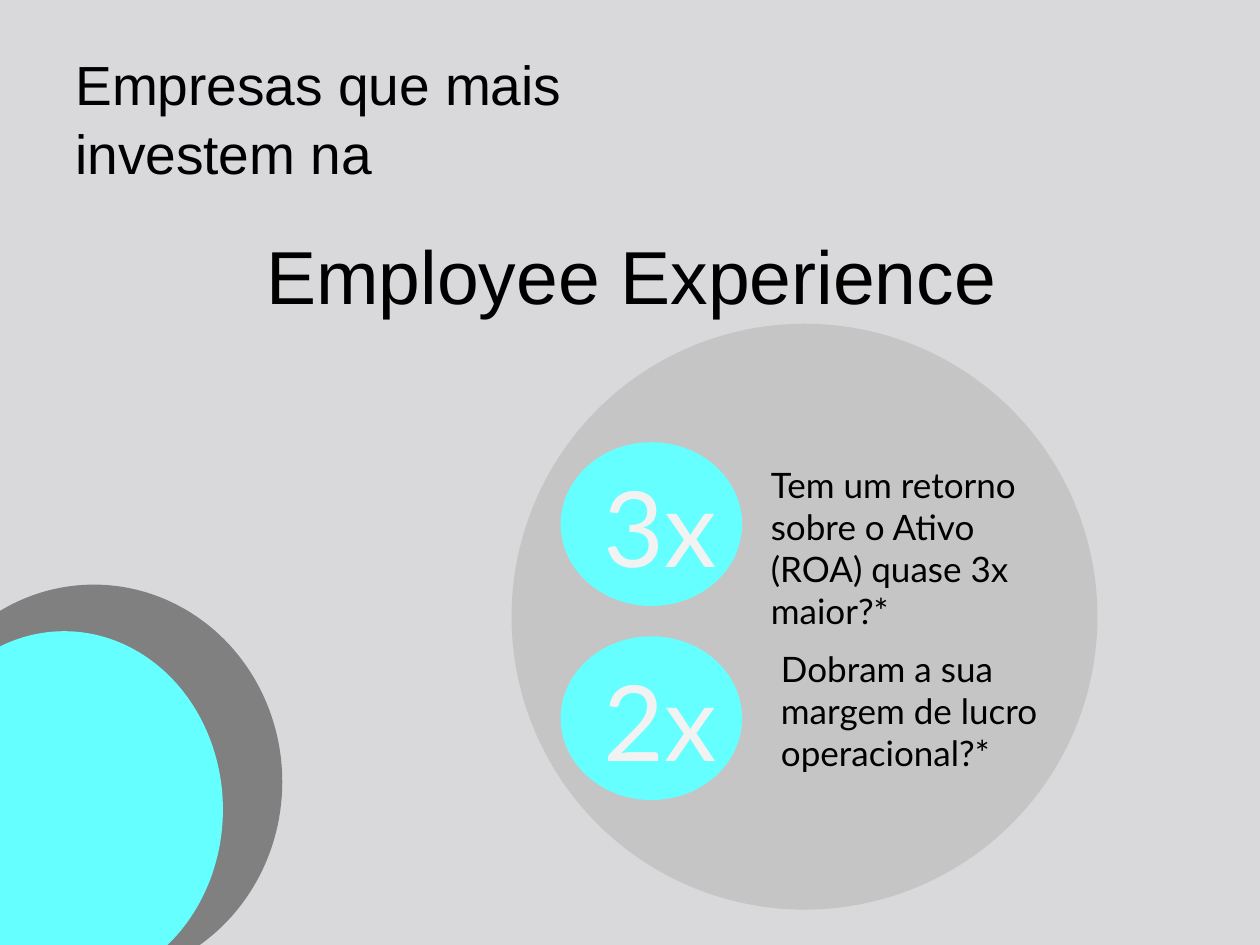
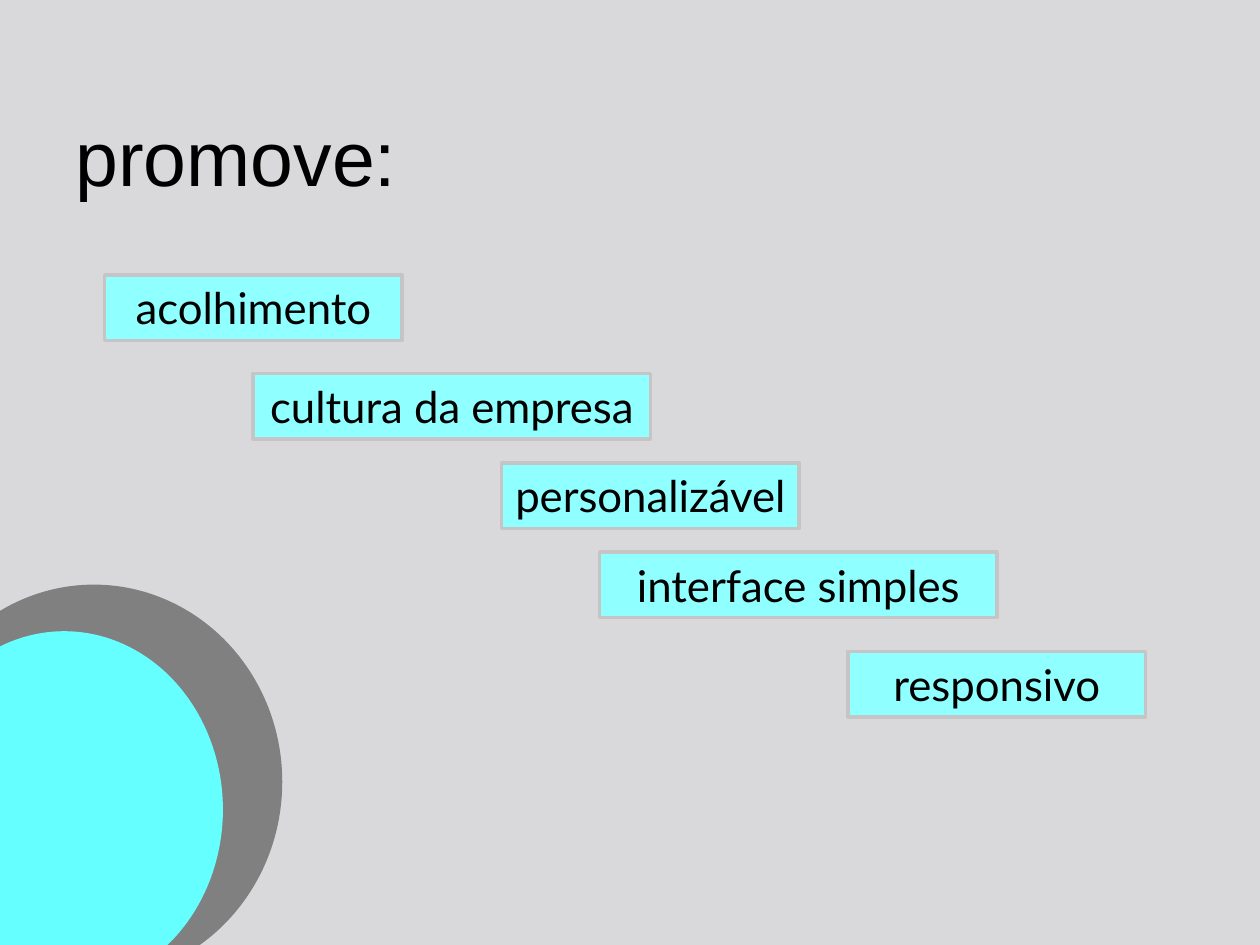
from dataclasses import dataclass
from typing import Any

from pptx import Presentation
from pptx.dml.color import RGBColor
from pptx.enum.shapes import MSO_SHAPE as Preset
from pptx.enum.text import MSO_ANCHOR as Anchor, MSO_AUTO_SIZE as AutoSize, PP_ALIGN as Align
from pptx.util import Pt

COLORS = {
    "background": "D9D8DA",
    "disc": "C5C5C5",
    "shadow": "808080",
    "accent": "66FFFF",
    "tag": "8FFFFF",
    "ink": "000000",
    "pale": "F2F2F2",
}


@dataclass(frozen=True)
class Box:
    left: float
    top: float
    width: float
    height: float

    def lengths(self) -> list:
        return [Pt(value) for value in (self.left, self.top, self.width, self.height)]


@dataclass(frozen=True)
class TextStyle:
    font: str
    size: float
    color: str = "ink"
    align: Align = Align.LEFT
    anchor: Anchor = Anchor.TOP
    autosize: AutoSize = AutoSize.NONE
    spacing: float = 1.0


@dataclass(frozen=True)
class Benefit:
    factor: str
    claim: str
    oval_top: float
    claim_box: Box


@dataclass(frozen=True)
class Tag:
    label: str
    left: float
    top: float
    width: float


INTRO = TextStyle("Arial", 31.5, anchor=Anchor.MIDDLE, spacing=1.05)
HEADLINE = TextStyle("Arial", 42.9, align=Align.CENTER, anchor=Anchor.MIDDLE)
TITLE = TextStyle("Arial", 44, anchor=Anchor.MIDDLE)
CLAIM = TextStyle("Lato", 20, autosize=AutoSize.SHAPE_TO_FIT_TEXT)
FACTOR = TextStyle("Lato", 60, color="pale", autosize=AutoSize.SHAPE_TO_FIT_TEXT)
TAG = TextStyle("Lato", 25, align=Align.CENTER, autosize=AutoSize.SHAPE_TO_FIT_TEXT)

CORNER = [
    ("shadow", Box(-54, 334.1, 215.3, 225.4)),
    ("accent", Box(-54, 360.7, 181.4, 203.8)),
]
BENEFITS = [
    Benefit("3x", "Tem um retorno sobre o Ativo (ROA) quase 3x maior?*",
            252.7, Box(433.4, 261.4, 181.4, 79.9)),
    Benefit("2x", "Dobram a sua margem de lucro operacional?*",
            363.6, Box(439.2, 366.5, 165.6, 79.9)),
]
SHORT, LONG, TAG_HEIGHT = 170, 227, 37.5
TAGS = [
    Tag("acolhimento", 59.8, 157, SHORT),
    Tag("cultura da empresa", 144.7, 213.5, LONG),
    Tag("personalizável", 286.6, 264.5, SHORT),
    Tag("interface simples", 342.7, 315.5, LONG),
    Tag("responsivo", 484.6, 372.2, SHORT),
]


def rgb(name: str) -> RGBColor:
    return RGBColor.from_string(COLORS[name])


def apply(target: Any, values: dict) -> None:
    for attribute, value in values.items():
        setattr(target, attribute, value)


def write(shape: Any, text: str, style: TextStyle) -> None:
    frame = shape.text_frame
    apply(frame, {"text": text, "word_wrap": True,
                  "vertical_anchor": style.anchor, "auto_size": style.autosize})
    paragraph = frame.paragraphs[0]
    apply(paragraph, {"alignment": style.align, "line_spacing": style.spacing})
    font = paragraph.runs[0].font
    apply(font, {"name": style.font, "size": Pt(style.size)})
    font.color.rgb = rgb(style.color)


def add_text(slide: Any, box: Box, text: str, style: TextStyle) -> None:
    write(slide.shapes.add_textbox(*box.lengths()), text, style)


def add_filled(slide: Any, preset: Preset, box: Box, color: str) -> Any:
    shape = slide.shapes.add_shape(preset, *box.lengths())
    shape.shadow.inherit = False
    shape.fill.solid()
    shape.fill.fore_color.rgb = rgb(color)
    shape.line.fill.background()
    return shape


def add_tag(slide: Any, tag: Tag) -> None:
    box = Box(tag.left, tag.top, tag.width, TAG_HEIGHT)
    shape = add_filled(slide, Preset.RECTANGLE, box, "tag")
    shape.line.color.rgb = rgb("disc")
    shape.line.width = Pt(2)
    write(shape, tag.label, TAG)


def add_benefit(slide: Any, benefit: Benefit) -> None:
    top = benefit.oval_top
    add_text(slide, benefit.claim_box, benefit.claim, CLAIM)
    add_filled(slide, Preset.OVAL, Box(320.4, top, 103.7, 93.6), "accent")
    add_text(slide, Box(337.7, top + 7.9, 181.4, 79.9), benefit.factor, FACTOR)


def add_base_slide(deck: Any) -> Any:
    slide = deck.slides.add_slide(deck.slide_layouts[6])
    slide.background.fill.solid()
    slide.background.fill.fore_color.rgb = rgb("background")
    for color, box in CORNER:
        add_filled(slide, Preset.OVAL, box, color)
    return slide


def build_experience(deck: Any) -> None:
    slide = add_base_slide(deck)
    add_filled(slide, Preset.OVAL, Box(292.3, 185, 334.8, 334.8), "disc")
    add_text(slide, Box(36, 21.6, 403.2, 90), "Empresas que mais investem na", INTRO)
    add_text(slide, Box(36.7, 111.6, 648, 90), "Employee Experience", HEADLINE)
    for benefit in BENEFITS:
        add_benefit(slide, benefit)


def build_promises(deck: Any) -> None:
    slide = add_base_slide(deck)
    add_text(slide, Box(36, 43.9, 648, 90), "promove:", TITLE)
    for tag in TAGS:
        add_tag(slide, tag)


def main() -> None:
    deck = Presentation()
    apply(deck, {"slide_width": Pt(720), "slide_height": Pt(540)})
    build_experience(deck)
    build_promises(deck)
    deck.save("out.pptx")


if __name__ == "__main__":
    main()
